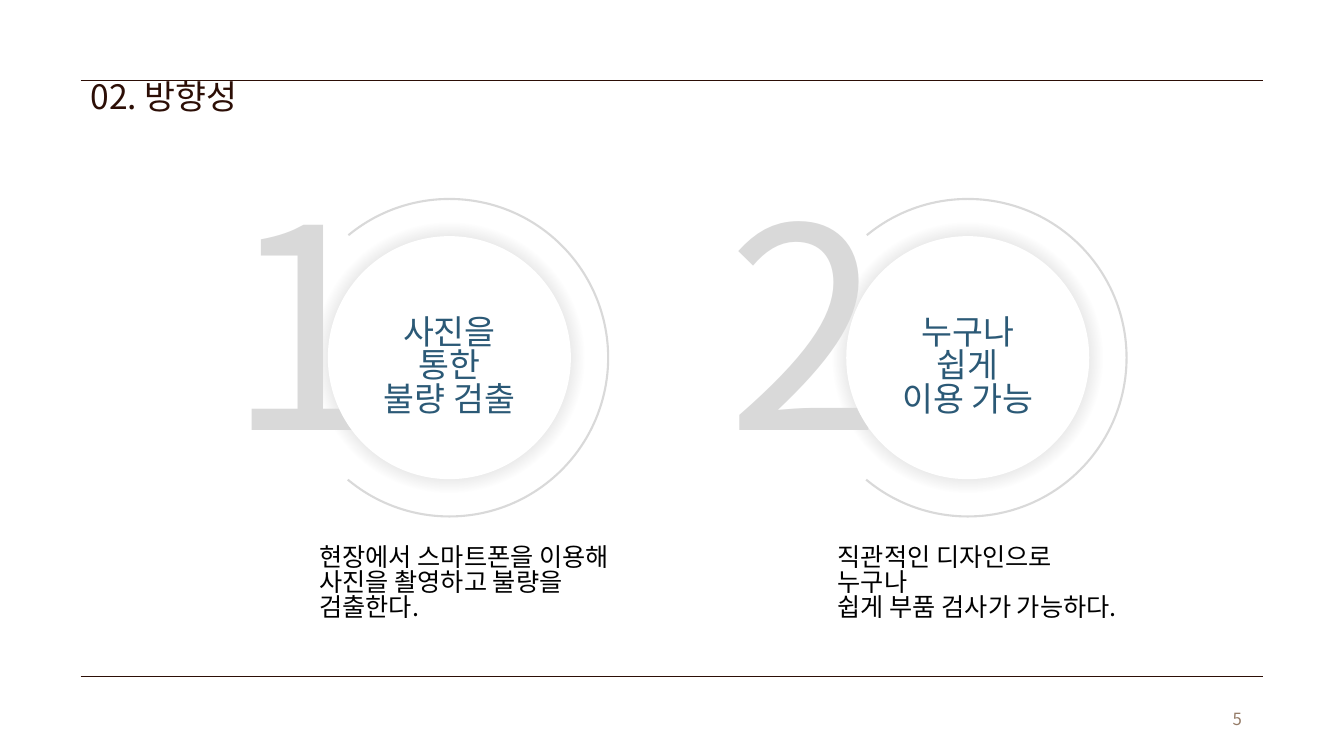
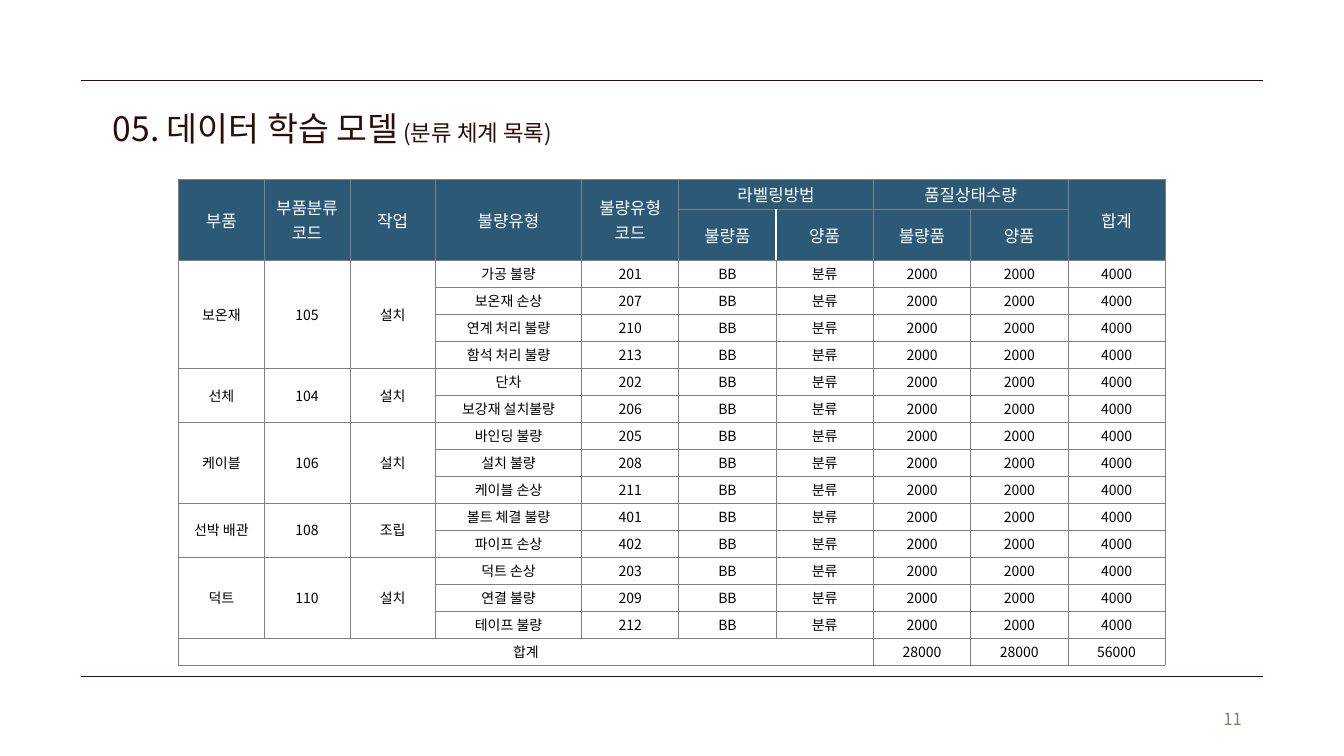
from dataclasses import dataclass

from lxml import etree
from pptx import Presentation
from pptx.dml.color import RGBColor
from pptx.enum import shapes, text
from pptx.oxml import parse_xml
from pptx.oxml.ns import nsdecls, qn
from pptx.util import Pt

FONT = "Noto Sans CJK KR"
C = {
    "dark": "2C0E06", "page": "957C68", "blue": "2B5976", "white": "FFFFFF",
    "black": "000000", "light": "D9D9D9", "gray": "808080",
}
LEFT, CENTER, RIGHT = text.PP_ALIGN.LEFT, text.PP_ALIGN.CENTER, text.PP_ALIGN.RIGHT
TOP, MIDDLE = text.MSO_ANCHOR.TOP, text.MSO_ANCHOR.MIDDLE


@dataclass
class Run:
    text: str
    size: float
    color: str


@dataclass
class Direction:
    number: str
    center: float
    number_left: float
    label: list[str]
    detail: list[str]
    detail_width: float


@dataclass
class Part:
    name: str
    code: str
    work: str
    defects: list[tuple[str, str]]


DIRECTIONS = [
    Direction("1", 321, 155.5, ["사진을 통한", "불량 검출"],
              ["현장에서 스마트폰을 이용해", "사진을 촬영하고 불량을 검출한다."], 251.3),
    Direction("2", 691.3, 512.6, ["누구나 쉽게", "이용 가능"],
              ["직관적인 디자인으로 누구나", "쉽게 부품 검사가 가능하다."], 211),
]
PARTS = [
    Part("보온재", "105", "설치", [("가공 불량", "201"), ("보온재 손상", "207"),
                              ("연계 처리 불량", "210"), ("함석 처리 불량", "213")]),
    Part("선체", "104", "설치", [("단차", "202"), ("보강재 설치불량", "206")]),
    Part("케이블", "106", "설치", [("바인딩 불량", "205"), ("설치 불량", "208"),
                              ("케이블 손상", "211")]),
    Part("선박 배관", "108", "조립", [("볼트 체결 불량", "401"), ("파이프 손상", "402")]),
    Part("덕트", "110", "설치", [("덕트 손상", "203"), ("연결 불량", "209"),
                             ("테이프 불량", "212")]),
]
HEADER = [
    ["부품", "부품분류\n코드", "작업", "불량유형", "불량유형\n코드",
     "라벨링방법", "", "품질상태수량", "", "합계"],
    ["", "", "", "", "", "불량품", "양품", "불량품", "양품", ""],
]
COLUMNS = [61.2] * 3 + [104.3] + [69.5] * 6
HEADER_ROWS, BODY_ROW = [21.4, 36.2], 19.3


# Text
def write(tf, lines: list[list[Run]], align=LEFT, spacing: float = 1.0) -> None:
    for i, runs in enumerate(lines):
        p = tf.paragraphs[0] if i == 0 else tf.add_paragraph()
        p.alignment, p.line_spacing = align, spacing
        for run in runs:
            r = p.add_run()
            r.text = run.text
            r.font.size, r.font.name = Pt(run.size), FONT
            r.font.color.rgb = RGBColor.from_string(C[run.color])
            latin = r.font._element.find(qn("a:latin"))
            latin.addnext(parse_xml(f'<a:ea {nsdecls("a")} typeface="{FONT}"/>'))


def add_text(s, x: float, y: float, w: float, h: float, lines: list[list[Run]],
             align=LEFT, anchor=TOP, spacing: float = 0.83) -> None:
    tf = s.shapes.add_textbox(Pt(x), Pt(y), Pt(w), Pt(h)).text_frame
    tf.word_wrap, tf.vertical_anchor = True, anchor
    write(tf, lines, align, spacing)


# Parts shared by the slides
def add_slide(prs, page: str, x: float, y: float, w: float, title: list[Run]):
    s = prs.slides.add_slide(prs.slide_layouts[5])
    for rule_y in (57.6, 483.1):
        line = s.shapes.add_connector(shapes.MSO_CONNECTOR.STRAIGHT,
                                      Pt(57.6), Pt(rule_y), Pt(902.2), Pt(rule_y))
        line.line.color.rgb = RGBColor.from_string(C["dark"])
        line.line.width = Pt(1)
        etree.SubElement(line._element.spPr, qn("a:effectLst"))
    sp = s.shapes.title
    sp.left, sp.top, sp.width, sp.height = Pt(x), Pt(y), Pt(w), Pt(36)
    tf = sp.text_frame
    tf.word_wrap, tf.vertical_anchor = False, TOP
    tf.auto_size = text.MSO_AUTO_SIZE.NONE
    write(tf, [title], spacing=0.9)
    add_text(s, 678.2, 500.4, 216, 28.8, [[Run(page, 12, "page")]], RIGHT, MIDDLE)
    return s


# Numbered circles
def add_round(s, kind, center: float, diameter: float):
    sp = s.shapes.add_shape(kind, Pt(center - diameter / 2), Pt(255.5 - diameter / 2),
                            Pt(diameter), Pt(diameter))
    sp.shadow.inherit = False
    sp.line.fill.background()
    return sp


def add_glow(s, center: float) -> None:
    fill = add_round(s, shapes.MSO_SHAPE.OVAL, center, 200).fill
    fill.gradient()
    for stop, (position, color) in zip(fill.gradient_stops, [(0.21, "gray"), (0.69, "white")]):
        stop.position = position
        stop.color.rgb = RGBColor.from_string(C[color])
    grad = s.shapes[-1]._element.spPr.find(qn("a:gradFill"))
    grad.replace(grad.find(qn("a:lin")), parse_xml(
        f'<a:path {nsdecls("a")} path="circle">'
        '<a:fillToRect l="50000" t="50000" r="50000" b="50000"/></a:path>'))


def add_direction(s, d: Direction) -> None:
    add_glow(s, d.center)
    add_text(s, d.number_left, 131, 106.6, 250, [[Run(d.number, 200, "light")]], spacing=0.9)
    disc = add_round(s, shapes.MSO_SHAPE.OVAL, d.center, 173.6)
    disc.fill.solid()
    disc.fill.fore_color.rgb = RGBColor.from_string(C["white"])
    arc = add_round(s, shapes.MSO_SHAPE.ARC, d.center, 226.8)
    arc.adjustments[0], arc.adjustments[1] = 138.302, 77.884
    arc.fill.background()
    arc.line.color.rgb = RGBColor.from_string(C["light"])
    arc.line.width = Pt(1.5)
    add_text(s, d.center - 62.6, 223.2, 125.2, 65.5,
             [[Run(t, 24, "blue")] for t in d.label], CENTER)
    add_text(s, d.center - 100, 386.6, d.detail_width, 51,
             [[Run(t, 18, "black")] for t in d.detail])


# Table
def set_borders(cell, sides: str) -> None:
    tc_pr = cell._tc.get_or_add_tcPr()
    for i, side in enumerate(sides):
        tc_pr.insert(i, parse_xml(
            f'<a:ln{side} {nsdecls("a")} w="6350"><a:solidFill>'
            f'<a:srgbClr val="{C["gray"]}"/></a:solidFill></a:ln{side}>'))


def format_cell(cell, value: str, header: bool, sides: str) -> None:
    cell.vertical_anchor = MIDDLE
    cell.margin_top = cell.margin_bottom = Pt(0.5)
    if header:
        cell.fill.solid()
        cell.fill.fore_color.rgb = RGBColor.from_string(C["blue"])
    else:
        cell.fill.background()
    size, color = (12, "white") if header else (10, "black")
    write(cell.text_frame, [[Run(t, size, color)] for t in value.split("\n")], CENTER)
    set_borders(cell, sides)


def add_defect_table(s) -> None:
    rows = list(HEADER)
    spans = [(0, c, 1, c) for c in (0, 1, 2, 3, 4, 9)] + [(0, 5, 0, 6), (0, 7, 0, 8)]
    for part in PARTS:
        first, last = len(rows), len(rows) + len(part.defects) - 1
        spans += [(first, c, last, c) for c in range(3)]
        for i, (defect, code) in enumerate(part.defects):
            lead = [part.name, part.code, part.work] if i == 0 else [""] * 3
            rows.append(lead + [defect, code, "BB", "분류", "2000", "2000", "4000"])
    spans.append((len(rows), 0, len(rows), 6))
    rows.append(["합계"] + [""] * 6 + ["28000", "28000", "56000"])

    heights = HEADER_ROWS + [BODY_ROW] * (len(rows) - len(HEADER))
    table = s.shapes.add_table(len(rows), len(COLUMNS), Pt(127.5), Pt(128.2),
                               Pt(sum(COLUMNS)), Pt(sum(heights))).table
    table.first_row = table.horz_banding = False
    for column, width in zip(table.columns, COLUMNS):
        column.width = Pt(width)
    for row, height in zip(table.rows, heights):
        row.height = Pt(height)
    # The two labelling subheads have no border between them
    open_sides = {(1, 5): "LTB", (1, 6): "RTB"}
    for i, values in enumerate(rows):
        for j, value in enumerate(values):
            format_cell(table.cell(i, j), value, i < len(HEADER),
                        open_sides.get((i, j), "LRTB"))
    for top, left, bottom, right in spans:
        table.cell(top, left).merge(table.cell(bottom, right))


def main() -> None:
    prs = Presentation()
    prs.slide_width, prs.slide_height = Pt(960), Pt(540)

    s = add_slide(prs, "5", 57.6, 54, 131, [Run("02. 방향성", 24, "dark")])
    for d in DIRECTIONS:
        add_direction(s, d)

    s = add_slide(prs, "11", 73.4, 77, 360.7, [Run("05. 데이터 학습 모델", 24, "dark"),
                                               Run(" (분류 체계 목록)", 16, "dark")])
    add_defect_table(s)
    prs.save("out.pptx")


if __name__ == "__main__":
    main()
